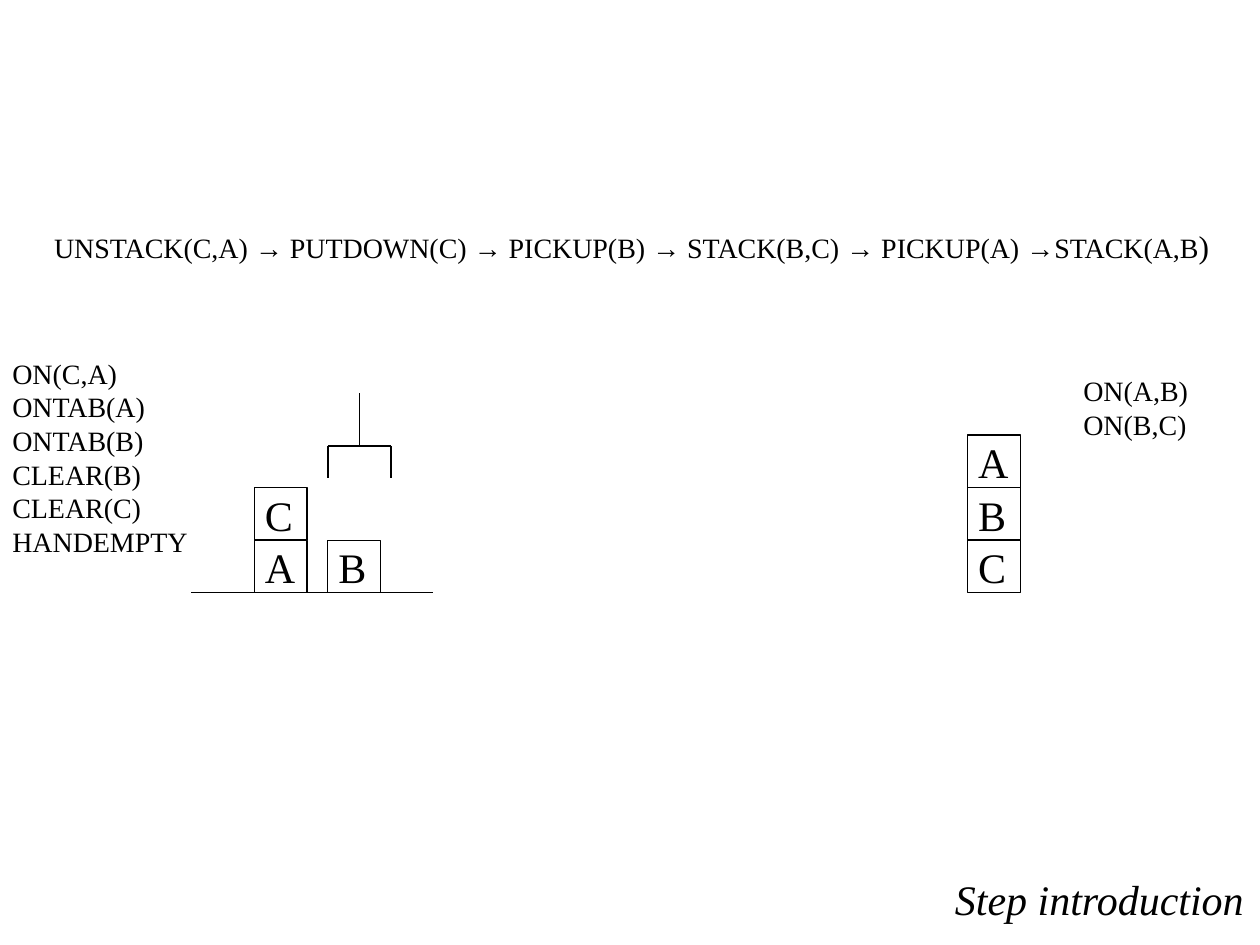
from lxml.etree import SubElement
from pptx import Presentation
from pptx.dml.color import RGBColor
from pptx.enum.shapes import MSO_CONNECTOR as Connector, MSO_SHAPE as Shape
from pptx.enum.text import MSO_AUTO_SIZE as AutoSize
from pptx.oxml.ns import qn
from pptx.util import Cm, Pt

COLORS = {"ink": "000000"}
INK = RGBColor.from_string(COLORS["ink"])
SERIF, SANS = "Times New Roman", "Arial"
BLOCK = 1.06
TABLE_Y = 11.95
LETTER_WIDTHS = {"A": 1.12, "B": 1.07, "C": 1.07}
START = ["ON(C,A)", "ONTAB(A)", "ONTAB(B)", "CLEAR(B)", "CLEAR(C)", "HANDEMPTY"]
GOAL = ["ON(A,B)", "ON(B,C)"]
STEPS = ["UNSTACK(C,A) ", " PUTDOWN(C) ", " PICKUP(B) ", " STACK(B,C) ", " PICKUP(A) "]


def add_span(para, text, size, name=SERIF, italic=False):
    span = para.add_run()
    span.text = text
    span.font.color.rgb = INK
    style = {"name": name, "size": Pt(size), "italic": italic}
    for key, value in style.items():
        setattr(span.font, key, value)


def add_box(page, left, top, width, height):
    box = page.shapes.add_textbox(Cm(left), Cm(top), Cm(width), Cm(height))
    frame = box.text_frame
    style = {"word_wrap": False, "auto_size": AutoSize.SHAPE_TO_FIT_TEXT}
    for key, value in style.items():
        setattr(frame, key, value)
    return frame


def add_text(page, lines, left, top, width, height, size=16, italic=False):
    frame = add_box(page, left, top, width, height)
    for index, line in enumerate(lines):
        para = frame.add_paragraph() if index else frame.paragraphs[0]
        add_span(para, line, size, italic=italic)


def add_plan(page):
    para = add_box(page, 0.84, 4.45, 23.93, 1.02).paragraphs[0]
    for step in STEPS:
        add_span(para, step, 16)
        add_span(para, "→", 16, SANS)
    add_span(para, "STACK(A,B", 16)
    add_span(para, ")", 18)


def add_line(page, x1, y1, x2, y2):
    line = page.shapes.add_connector(Connector.STRAIGHT, Cm(x1), Cm(y1), Cm(x2), Cm(y2))
    line.line.color.rgb = INK
    line.line.width = Pt(0.75)
    SubElement(line._element.spPr, qn("a:effectLst"))


def add_stack(page, left, letters):
    for level, letter in enumerate(letters, start=1):
        top = TABLE_Y - level * BLOCK
        block = page.shapes.add_shape(Shape.RECTANGLE, Cm(left), Cm(top), Cm(BLOCK), Cm(BLOCK))
        block.shadow.inherit = False
        block.fill.background()
        block.line.color.rgb = INK
        block.line.width = Pt(0.75)
        add_text(page, [letter], left - 0.04, top - 0.09, LETTER_WIDTHS[letter], 1.27, size=24)


def add_hand(page, left, top, width=1.27, arm=1.06, finger=0.64):
    right, middle, palm = left + width, left + width / 2, top + arm
    add_line(page, middle, top, middle, palm)
    add_line(page, left, palm, right, palm)
    for x in (left, right):
        add_line(page, x, palm, x, palm + finger)


def main():
    deck = Presentation()
    deck.slide_width, deck.slide_height = Cm(25.4), Cm(19.05)
    page = deck.slides.add_slide(deck.slide_layouts[6])
    add_text(page, START, 0, 7.06, 4.04, 4.32)
    add_text(page, ["Step introduction"], 19, 17.48, 6.35, 1.27, size=24, italic=True)
    add_plan(page)
    add_text(page, GOAL, 21.59, 7.41, 2.62, 1.63)
    for left, letters in ((5.13, "AC"), (6.61, "B"), (19.51, "CBA")):
        add_stack(page, left, letters)
    add_line(page, 3.86, TABLE_Y, 8.72, TABLE_Y)
    add_hand(page, 6.61, 7.93)
    deck.save("out.pptx")


if __name__ == "__main__":
    main()
